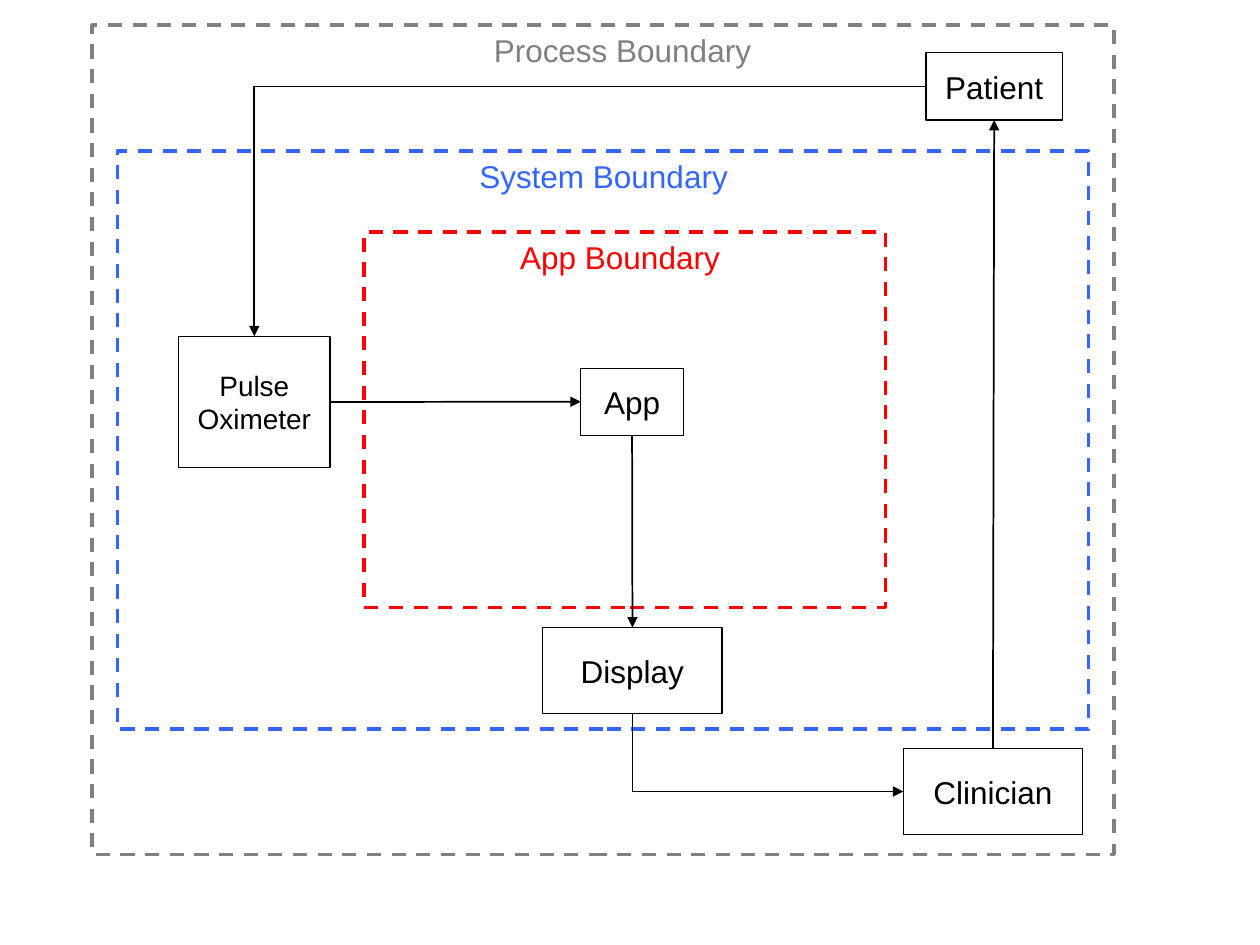
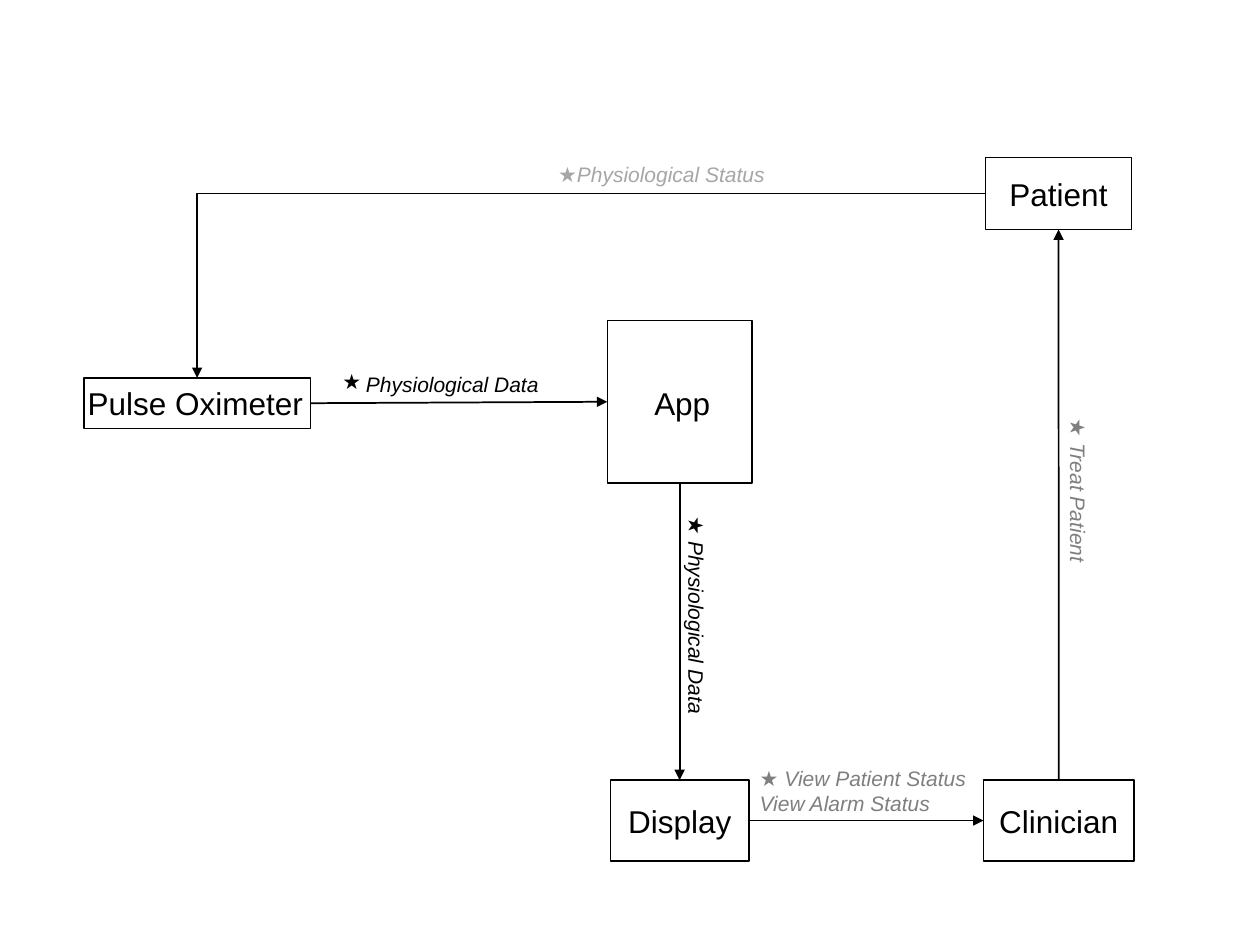
import pptx
import pptx.util
import pptx.dml.color
import pptx.enum.dml
import pptx.enum.shapes
import pptx.enum.text
import pptx.oxml
import pptx.oxml.ns

Pt = pptx.util.Pt
RGBColor = pptx.dml.color.RGBColor
Align = pptx.enum.text.PP_ALIGN
Anchor = pptx.enum.text.MSO_ANCHOR

BLACK = RGBColor(0x00, 0x00, 0x00)
GRAY = RGBColor(0x80, 0x80, 0x80)
DIM_GRAY = RGBColor(0x7F, 0x7F, 0x7F)
LIGHT_GRAY = RGBColor(0xA6, 0xA6, 0xA6)
RED = RGBColor(0xFF, 0x00, 0x00)
BLUE = RGBColor(0x33, 0x66, 0xFF)

FONT = "Arial"
STAR = "\u2605"

# Connection sites of a rectangle
TOP, LEFT, BOTTOM, RIGHT = range(4)


class Diagram:
    """Style of the diagrams and the slide being drawn."""

    def __init__(self):
        self.presentation = pptx.Presentation()
        self.presentation.slide_width = Pt(720)
        self.presentation.slide_height = Pt(540)
        self.slide = None

    def new_slide(self):
        blank = self.presentation.slide_layouts[6]
        self.slide = self.presentation.slides.add_slide(blank)

    def set_text(self, shape, text, size, color, align, italic=None):
        frame = shape.text_frame
        frame.word_wrap = True
        frame.vertical_anchor = Anchor.MIDDLE
        frame.text = text
        for paragraph in frame.paragraphs:
            paragraph.alignment = align
            paragraph.font.name = FONT
            paragraph.font.size = Pt(size)
            paragraph.font.color.rgb = color
            paragraph.font.italic = italic

    def rectangle(self, bounds, color, width):
        shape = self.slide.shapes.add_shape(
            pptx.enum.shapes.MSO_SHAPE.RECTANGLE, *map(Pt, bounds))
        shape.shadow.inherit = False
        shape.fill.background()
        shape.line.color.rgb = color
        shape.line.width = Pt(width)
        return shape

    def box(self, bounds, text="", size=18):
        shape = self.rectangle(bounds, BLACK, 0.75)
        if text:
            self.set_text(shape, text, size, BLACK, Align.CENTER)
        return shape

    def heading(self, bounds, text, color=BLACK):
        shape = self.slide.shapes.add_textbox(*map(Pt, bounds))
        self.set_text(shape, text, 18, color, Align.CENTER)
        return shape

    def boundary(self, bounds, text, color, label_left):
        shape = self.rectangle(bounds, color, 2)
        shape.line.dash_style = pptx.enum.dml.MSO_LINE.DASH
        label = self.heading((label_left, bounds[1], 243.4, 28.8), text, color)
        label.text_frame.vertical_anchor = Anchor.TOP
        label.text_frame.auto_size = pptx.enum.text.MSO_AUTO_SIZE.SHAPE_TO_FIT_TEXT

    def flow_label(self, bounds, text, color=BLACK, rotation=0):
        shape = self.slide.shapes.add_textbox(*map(Pt, bounds))
        shape.rotation = rotation
        self.set_text(shape, text, 12, color, Align.LEFT, italic=True)
        return shape

    def star_bullet(self, shape):
        for paragraph in shape.text_frame.paragraphs:
            properties = paragraph._p.get_or_add_pPr()
            properties.set("marL", str(Pt(13.5)))
            properties.set("indent", str(-Pt(13.5)))
            bullet = pptx.oxml.parse_xml(
                f'<a:buChar {pptx.oxml.ns.nsdecls("a")} char="{STAR}"/>')
            properties.insert_element_before(bullet, "a:tabLst", "a:defRPr", "a:extLst")

    def arrow(self, source, source_side, target, target_side):
        """Arrow between two boxes, with one corner if the sides are not opposite."""
        kinds = pptx.enum.shapes.MSO_CONNECTOR
        bent = (source_side - target_side) % 2 == 1
        connector = self.slide.shapes.add_connector(
            kinds.ELBOW if bent else kinds.STRAIGHT, 0, 0, 0, 0)
        connector.begin_connect(source, source_side)
        connector.end_connect(target, target_side)
        connector.line.color.rgb = BLACK
        connector.line.width = Pt(1)
        properties = connector._element.spPr
        namespace = pptx.oxml.ns.nsdecls("a")
        properties.append(pptx.oxml.parse_xml(f"<a:effectLst {namespace}/>"))
        properties.get_or_add_ln().append(
            pptx.oxml.parse_xml(f'<a:tailEnd {namespace} type="triangle"/>'))
        if bent:
            properties.find(pptx.oxml.ns.qn("a:prstGeom")).set("prst", "bentConnector2")
        if bent and source_side == BOTTOM:
            # Leave downwards: the frame lies on its side, mirrored
            width, height = connector.width, connector.height
            connector.left += (width - height) // 2
            connector.top += (height - width) // 2
            connector.width, connector.height = height, width
            transform = properties.find(pptx.oxml.ns.qn("a:xfrm"))
            transform.set("rot", str(270 * 60000))
            transform.set("flipH", "1")


diagram = Diagram()

# Slide 1: boundaries of process, system and app
diagram.new_slide()
diagram.boundary((52.6, 14.4, 583.9, 473.8), "Process Boundary", GRAY, 234)
diagram.boundary((67, 86.2, 555.1, 330.5), "System Boundary", BLUE, 223.2)
diagram.boundary((208.1, 132.5, 298.1, 214.6), "App Boundary", RED, 232.6)

patient = diagram.box((529.2, 30.2, 77.8, 38.4), "Patient")
app = diagram.box((331.9, 210.4, 58.6, 38.4), "App")
oximeter = diagram.box((102.2, 192.2, 86.4, 75), "Pulse Oximeter", 16)
display = diagram.box((310.2, 358.6, 102.4, 49.2), "Display")
clinician = diagram.box((516.2, 427.7, 102.4, 49.2), "Clinician")

diagram.arrow(patient, LEFT, oximeter, TOP)
diagram.arrow(oximeter, RIGHT, app, LEFT)
diagram.arrow(app, BOTTOM, display, TOP)
diagram.arrow(display, BOTTOM, clinician, LEFT)
diagram.arrow(clinician, TOP, patient, BOTTOM)

# Slide 2: data passed between the parts
diagram.new_slide()
display = diagram.box((348.7, 445.8, 79.4, 46.2), "Display")
patient = diagram.box((563, 89.9, 83.8, 41.3), "Patient")
oximeter = diagram.box((48, 216, 129.4, 28.8))
diagram.heading((41.8, 216, 139.7, 28.8), "Pulse Oximeter")
clinician = diagram.box((562, 445.8, 86, 46.2), "Clinician")
app = diagram.box((347, 183.2, 82.8, 92.8))
app_name = diagram.heading((360, 203.8, 59.8, 53.3), "App")
diagram.slide.shapes.add_group_shape([app, app_name])

diagram.arrow(patient, LEFT, oximeter, TOP)
diagram.arrow(oximeter, RIGHT, app, LEFT)
diagram.arrow(app, BOTTOM, display, TOP)
diagram.arrow(display, RIGHT, clinician, LEFT)
diagram.arrow(clinician, TOP, patient, BOTTOM)

# Names of the flows
diagram.star_bullet(diagram.flow_label((188.6, 198, 141.1, 43.2), "Physiological Data"))
diagram.flow_label((327.6, 349.2, 141.1, 18.7), f"{STAR} Physiological Data", rotation=90)
diagram.flow_label((311.8, 90, 146.9, 19.4), f"{STAR}Physiological Status", LIGHT_GRAY)
diagram.flow_label((427, 436.3, 145.4, 31),
                   f"{STAR} View Patient Status\nView Alarm Status", DIM_GRAY)
diagram.flow_label((543.6, 294.5, 145.4, 20.9), f"{STAR} Treat Patient", DIM_GRAY, 90)

diagram.presentation.save("out.pptx")
